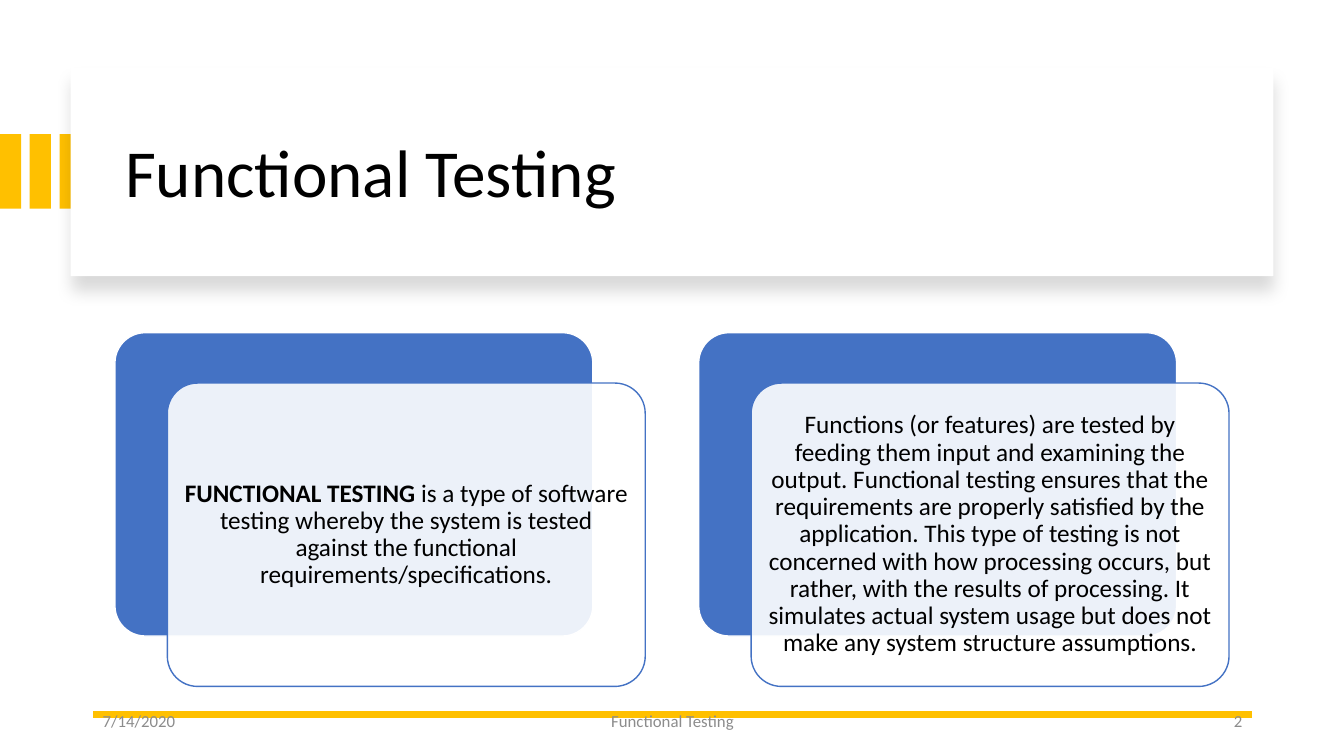
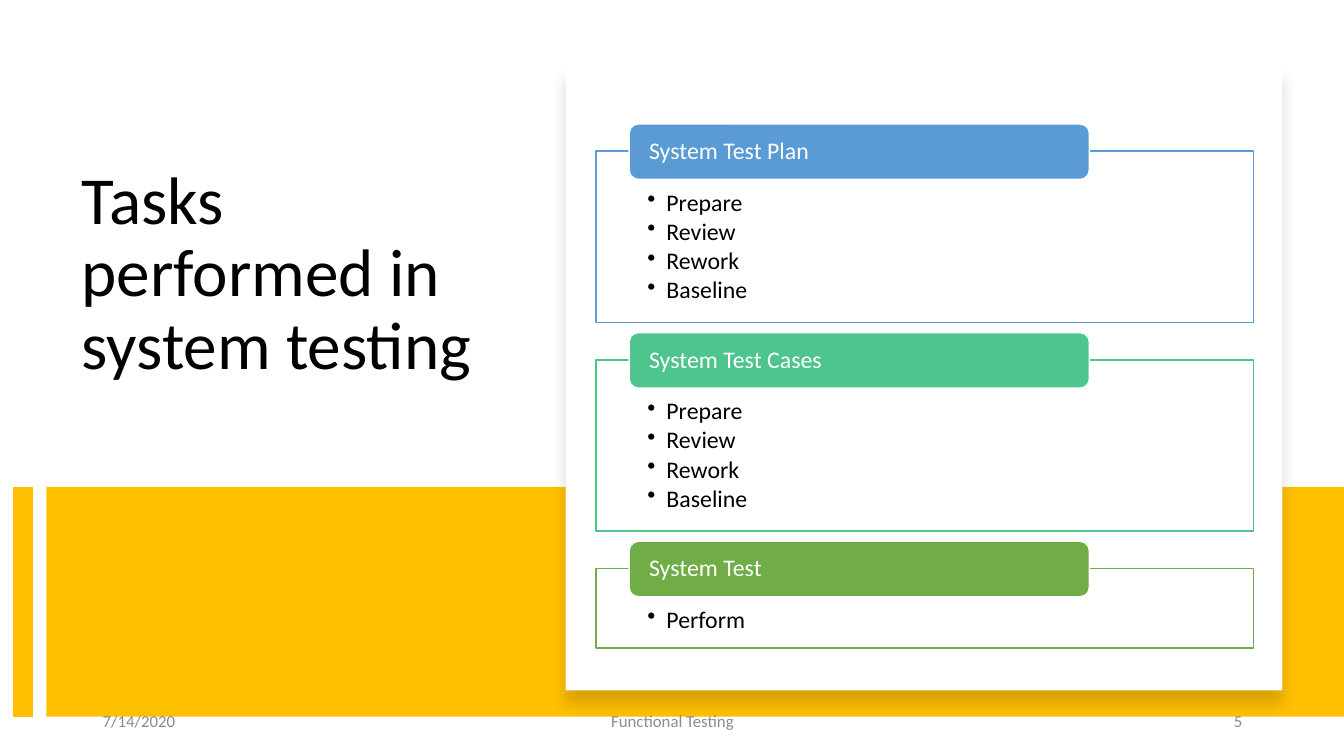
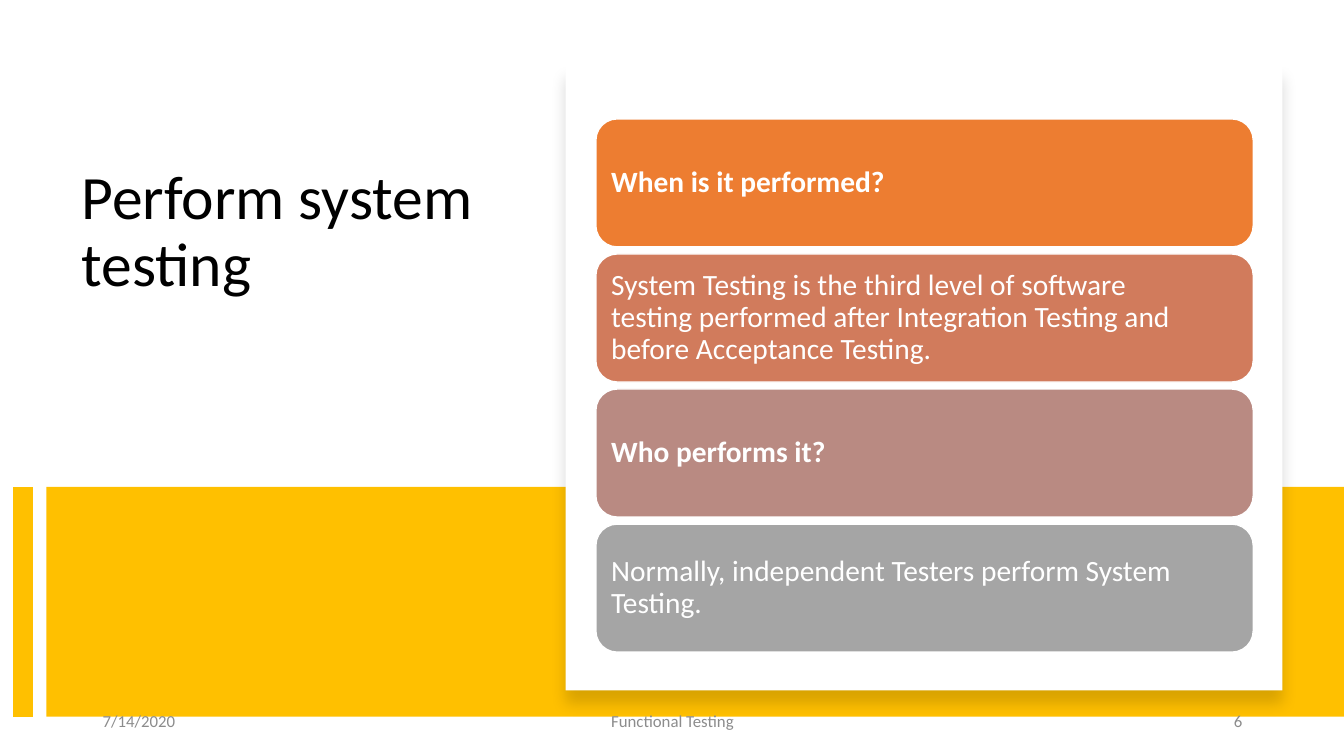
from lxml.etree import SubElement
from pptx import Presentation
from pptx.dml.color import RGBColor
from pptx.enum.shapes import MSO_CONNECTOR, MSO_SHAPE
from pptx.enum.text import MSO_ANCHOR, MSO_AUTO_SIZE, PP_ALIGN
from pptx.oxml.ns import qn
from pptx.util import Inches, Pt

FONT = "Calibri"
BLACK = RGBColor(0x00, 0x00, 0x00)
WHITE = RGBColor(0xFF, 0xFF, 0xFF)
GRAY = RGBColor(0x8C, 0x8C, 0x8C)
GOLD = RGBColor(0xFF, 0xC0, 0x00)
BLUE = RGBColor(0x44, 0x72, 0xC4)
SKY = RGBColor(0x5B, 0x9B, 0xD5)
MINT = RGBColor(0x4D, 0xC5, 0x8D)
GREEN = RGBColor(0x70, 0xAD, 0x47)
ORANGE = RGBColor(0xED, 0x7D, 0x31)
TERRACOTTA = RGBColor(0xD1, 0x7B, 0x5C)
ROSE = RGBColor(0xB9, 0x8A, 0x82)
SILVER = RGBColor(0xA5, 0xA5, 0xA5)

PANEL = (5.61, 0.64, 7.11, 6.21)
CONTENT_LEFT, CONTENT_WIDTH = 5.91, 6.52


def write_text(frame, lines, size=18, color=BLACK, bold=False, lead="",
               align=PP_ALIGN.LEFT, anchor=MSO_ANCHOR.MIDDLE, spacing=0.9,
               after=0, bullet=False, margins=(0.1, 0.05, 0.1, 0.05)):
    """Fill a text frame with one paragraph per line; lead is a bold opening."""
    frame.word_wrap = True
    frame.auto_size = MSO_AUTO_SIZE.NONE
    frame.vertical_anchor = anchor
    (frame.margin_left, frame.margin_top,
     frame.margin_right, frame.margin_bottom) = map(Inches, margins)
    for index, line in enumerate(lines):
        paragraph = frame.add_paragraph() if index else frame.paragraphs[0]
        paragraph.alignment = align
        paragraph.line_spacing = spacing
        paragraph.space_before = Pt(0)
        paragraph.space_after = Pt(after)
        if bullet:
            properties = paragraph.element.get_or_add_pPr() if hasattr(
                paragraph, "element") else paragraph._p.get_or_add_pPr()
            properties.set("marL", str(Inches(0.19)))
            properties.set("indent", str(-Inches(0.19)))
            SubElement(properties, qn("a:buChar")).set("char", "•")
        for text, is_bold in ((lead, True), (line, bold)):
            if text:
                run = paragraph.add_run()
                run.text = text
                run.font.name = FONT
                run.font.size = Pt(size)
                run.font.bold = is_bold
                run.font.color.rgb = color


def add_block(slide, box, fill, line=None, kind=MSO_SHAPE.RECTANGLE,
              corner=None, opacity=None):
    """Add a flat preset shape, with an optional outline, in the box."""
    shape = slide.shapes.add_shape(kind, *map(Inches, box))
    shape.shadow.inherit = False
    shape.fill.solid()
    shape.fill.fore_color.rgb = fill
    if opacity is not None:
        color = shape.element.spPr.find(".//" + qn("a:srgbClr"))
        SubElement(color, qn("a:alpha")).set("val", str(opacity * 1000))
    if line is None:
        shape.line.fill.background()
    else:
        shape.line.color.rgb = line
        shape.line.width = Pt(1)
    if corner is not None:
        shape.adjustments[0] = corner
    return shape


def add_panel(slide, box):
    """Add a white panel with a soft shadow below it."""
    panel = add_block(slide, box, WHITE)
    effects = panel.element.spPr.find(qn("a:effectLst"))
    shadow = SubElement(effects, qn("a:outerShdw"), blurRad=str(Pt(11)),
                        dist=str(Pt(10)), dir="5400000", algn="t", rotWithShape="0")
    color = SubElement(shadow, qn("a:srgbClr"), val="000000")
    SubElement(color, qn("a:alpha"), val="15000")


def add_rule(slide, start, end, width):
    """Draw a straight gold line from start to end."""
    connector = slide.shapes.add_connector(
        MSO_CONNECTOR.STRAIGHT, *map(Inches, start + end))
    connector.line.color.rgb = GOLD
    connector.line.width = Pt(width)
    SubElement(connector.element.spPr, qn("a:effectLst"))


def add_title(slide, text, box, **text_format):
    """Place the title placeholder in front of the shapes drawn so far."""
    title = slide.shapes.title
    title.left, title.top, title.width, title.height = map(Inches, box)
    write_text(title.text_frame, [text], **text_format)
    title.element.getparent().append(title.element)


def add_footer(slide, number):
    """Add the date, the deck name and the slide number."""
    for left, width, text, align in (
            (0.92, 3, "7/14/2020", PP_ALIGN.LEFT),
            (4.42, 4.5, "Functional Testing", PP_ALIGN.CENTER),
            (9.42, 3, str(number), PP_ALIGN.RIGHT)):
        box = slide.shapes.add_textbox(*map(Inches, (left, 6.95, width, 0.4)))
        write_text(box.text_frame, [text], size=12, color=GRAY, align=align,
                   spacing=1.0)


def add_card(slide, left, top, text, lead=""):
    """Add a blue card with a translucent text card offset in front."""
    width, height = 4.74, 3.01
    rounded = {"kind": MSO_SHAPE.ROUNDED_RECTANGLE, "corner": 0.1}
    add_block(slide, (left, top, width, height), BLUE, WHITE, **rounded)
    front = add_block(slide, (left + 0.52, top + 0.5, width, height),
                      WHITE, BLUE, opacity=90, **rounded)
    write_text(front.text_frame, [text], lead=lead, align=PP_ALIGN.CENTER,
               margins=(0.07,) * 4)


def add_task(slide, box, heading, steps, color):
    """Add an outlined list of steps with a heading tab over its top edge."""
    left, top, width, height = box
    body = add_block(slide, box, WHITE, color, opacity=90)
    write_text(body.text_frame, steps, size=17, anchor=MSO_ANCHOR.TOP, after=2.5,
               bullet=True, margins=(0.51, 0.39, 0.51, 0.13))
    tab = add_block(slide, (left + 0.33, top - 0.27, width * 0.7, 0.55),
                    color, WHITE, MSO_SHAPE.ROUNDED_RECTANGLE)
    write_text(tab.text_frame, [heading], size=17, color=WHITE,
               margins=(0.17, 0, 0.17, 0))


def add_side_frame(slide, title, title_size):
    """Set the left title, the gold band and the white content panel."""
    top, bottom = 4.83, 7.11
    add_title(slide, title, (0.71, 1.6, 4.15, 2.94), size=title_size,
              anchor=MSO_ANCHOR.TOP)
    add_block(slide, (0.46, top, 12.87, bottom - top), GOLD)
    add_rule(slide, (0.23, top), (0.23, bottom), 14)
    add_panel(slide, PANEL)


def build_definition(slide):
    """Build the slide that defines functional testing."""
    for index in range(3):
        add_block(slide, (index * 0.295, 1.33, 0.21, 0.74), GOLD)
    add_panel(slide, (0.7, 0.67, 11.93, 2.07))
    add_title(slide, "Functional Testing", (1.14, 0.89, 11.13, 1.7), size=48)
    add_rule(slide, (12.42, 7.09), (0.92, 7.09), 4.5)
    add_card(slide, 1.14, 3.3,
             "\u00a0is a type of software testing whereby the system is tested "
             "against the functional requirements/specifications.",
             lead="FUNCTIONAL TESTING")
    add_card(slide, 6.93, 3.3,
             "Functions (or features) are tested by feeding them input and "
             "examining the output. Functional testing ensures that the "
             "requirements are properly satisfied by the application. This type "
             "of testing is not concerned with how processing occurs, but rather, "
             "with the results of processing. It simulates actual system usage "
             "but does not make any system structure assumptions.")
    add_footer(slide, 2)


def build_tasks(slide):
    """Build the slide that lists the tasks of system testing."""
    add_side_frame(slide, "Tasks performed in system testing", 48)
    cycle = ["Prepare", "Review", "Rework", "Baseline"]
    top = 1.5
    for heading, steps, color, height in (
            ("System Test Plan", cycle, SKY, 1.7),
            ("System Test Cases", cycle, MINT, 1.7),
            ("System Test", ["Perform"], GREEN, 0.79)):
        add_task(slide, (CONTENT_LEFT, top, CONTENT_WIDTH, height),
                 heading, steps, color)
        top += height + 0.37
    add_footer(slide, 5)


def build_answers(slide):
    """Build the slide on when and by whom system testing is done."""
    add_side_frame(slide, "Perform system testing", 44)
    rows = (
        ("When is it performed?", ORANGE, True),
        ("System Testing is the third\u00a0level of software testing\u00a0performed "
         "after\u00a0Integration Testing\u00a0and before\u00a0Acceptance Testing.",
         TERRACOTTA, False),
        ("Who performs it?", ROSE, True),
        ("Normally, independent Testers perform System Testing.", SILVER, False))
    for index, (text, color, bold) in enumerate(rows):
        bar = add_block(slide, (CONTENT_LEFT, 1.18 + index * 1.34, CONTENT_WIDTH, 1.27),
                        color, WHITE, MSO_SHAPE.ROUNDED_RECTANGLE)
        write_text(bar.text_frame, [text], size=21, color=WHITE, bold=bold,
                   margins=(0.09,) * 4)
    add_footer(slide, 6)


def main():
    """Build and save the presentation."""
    presentation = Presentation()
    presentation.slide_width = Inches(13.33)
    presentation.slide_height = Inches(7.5)
    title_only = presentation.slide_layouts[5]
    for build in (build_definition, build_tasks, build_answers):
        build(presentation.slides.add_slide(title_only))
    presentation.save("out.pptx")


main()
